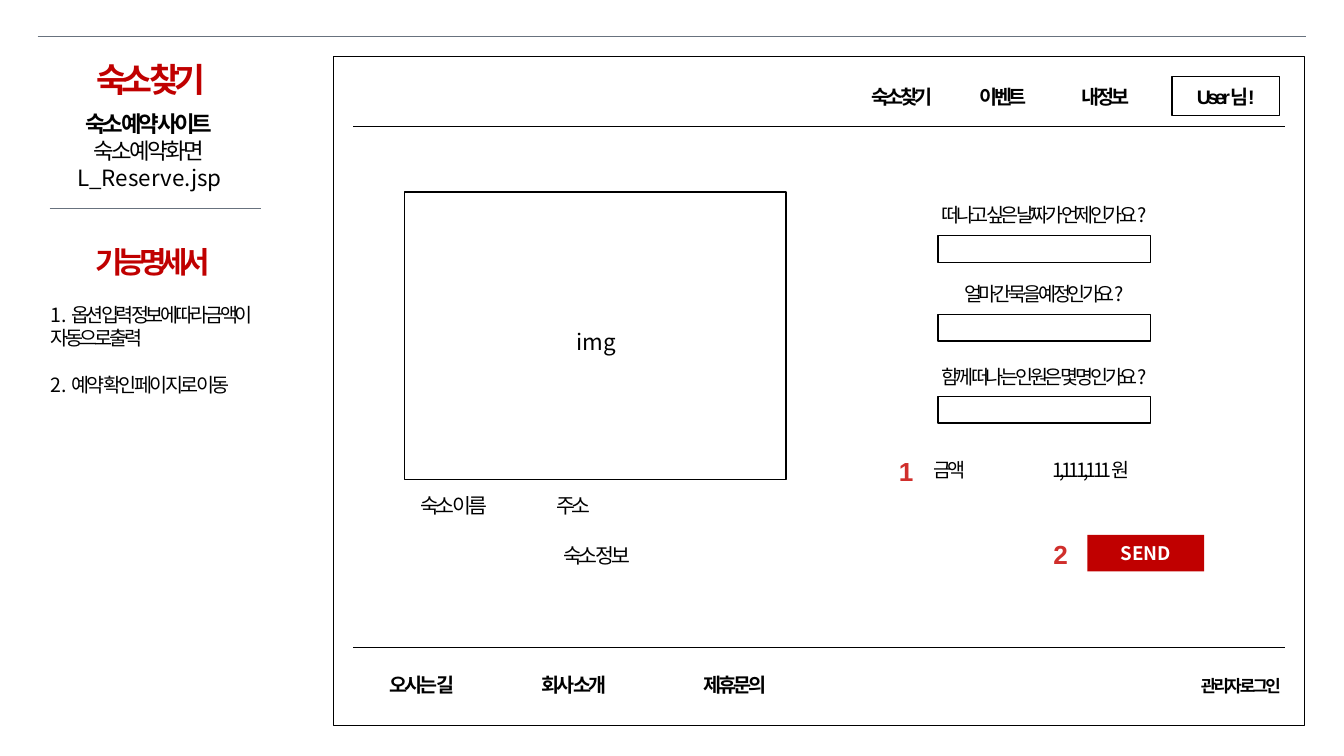
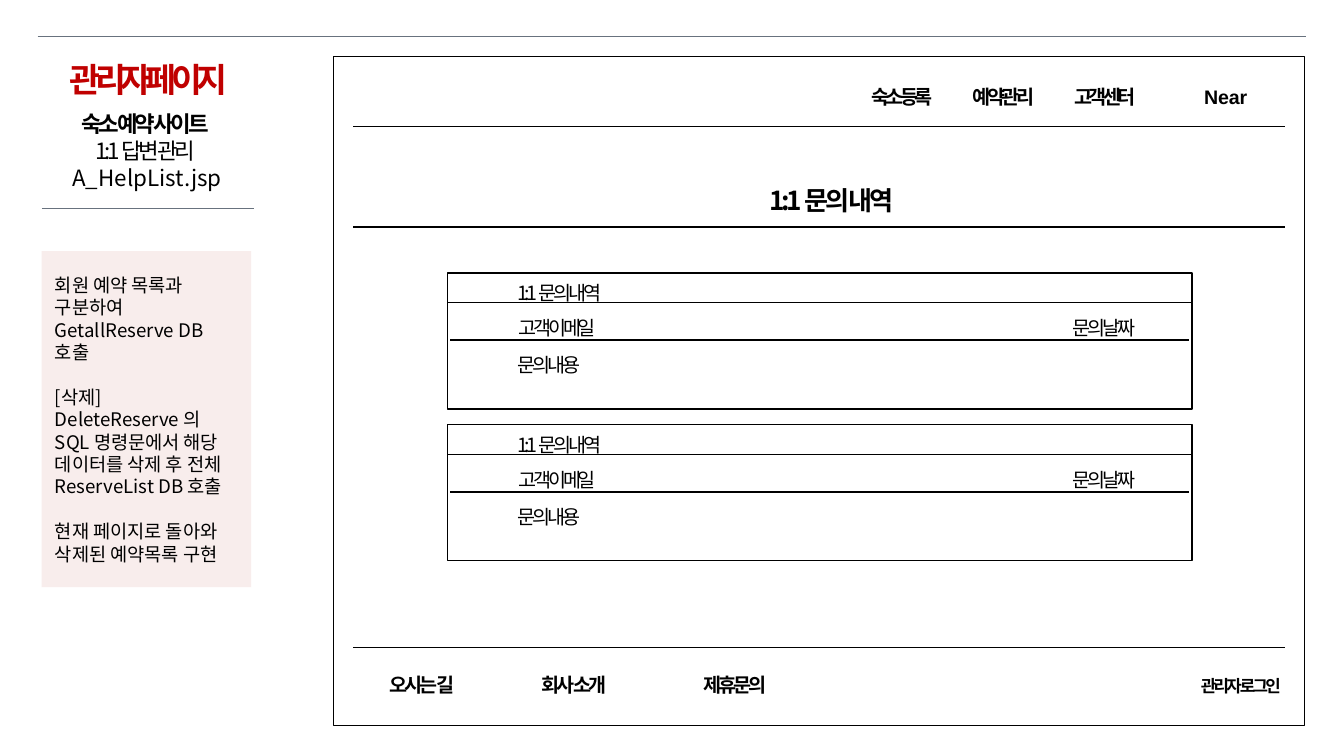
from dataclasses import dataclass

from pptx import Presentation
from pptx import util as u
from pptx.dml.color import RGBColor
from pptx.enum import shapes, text
from pptx.oxml import ns
from lxml import etree


@dataclass(frozen=True)
class Theme:
    black: str = "000000"
    white: str = "FFFFFF"
    red: str = "C00000"
    marker: str = "D02F2C"
    rule: str = "68727E"
    note: str = "F2DCDB"
    sans: str = "Noto Sans CJK KR"
    latin: str = "Arial"
    title: float = 18
    section: float = 16
    heading: float = 14
    intro: float = 12
    caption: float = 11
    body: float = 10.5
    small: float = 10
    login: float = 9
    tight: float = -1.8
    tighter: float = -1.5
    tightest: float = -3


T = Theme()
CENTER, LEFT = text.PP_ALIGN.CENTER, text.PP_ALIGN.LEFT
MIDDLE, TOP = text.MSO_ANCHOR.MIDDLE, text.MSO_ANCHOR.TOP


def add_box(slide, at, lines=(), size=T.body, color=T.black, bold=False, font=T.sans,
            spacing=0, align=CENTER, anchor=MIDDLE, line_spacing=None,
            outline=None, fill=None, grow=True, wrap=True):
    """Place a text box, or a rectangle if it has an outline or a fill."""
    place = [u.Cm(v) for v in at]
    if outline or fill:
        box = slide.shapes.add_shape(shapes.MSO_SHAPE.RECTANGLE, *place)
        box.shadow.inherit = False
        if fill:
            box.fill.solid()
            box.fill.fore_color.rgb = RGBColor.from_string(fill)
        else:
            box.fill.background()
        if outline:
            box.line.color.rgb = RGBColor.from_string(outline)
            box.line.width = u.Pt(0.75)
        else:
            box.line.fill.background()
    else:
        box = slide.shapes.add_textbox(*place)
    if not lines:
        return box
    frame = box.text_frame
    frame.word_wrap = wrap
    frame.vertical_anchor = anchor
    if grow:
        frame.auto_size = text.MSO_AUTO_SIZE.SHAPE_TO_FIT_TEXT
    for i, line in enumerate(lines):
        paragraph = frame.paragraphs[0] if i == 0 else frame.add_paragraph()
        paragraph.alignment = align
        if line_spacing:
            paragraph.line_spacing = line_spacing
        paragraph.font.size = u.Pt(size)
        paragraph.font.bold = bold
        paragraph.font.name = font
        paragraph.font.color.rgb = RGBColor.from_string(color)
        # A line is one string, or pairs of wording and letter spacing
        for words, gap in [(line, spacing)] if isinstance(line, str) else line:
            run = paragraph.add_run()
            run.text = words
            props = run._r.get_or_add_rPr()
            props.set("spc", str(round(gap * 100)))
            etree.SubElement(props, ns.qn("a:ea")).set("typeface", T.sans)
    return box


def add_rule(slide, left, right, y, color=T.black, width=0.75):
    rule = slide.shapes.add_connector(
        shapes.MSO_CONNECTOR.STRAIGHT, u.Cm(left), u.Cm(y), u.Cm(right), u.Cm(y))
    rule.line.color.rgb = RGBColor.from_string(color)
    rule.line.width = u.Pt(width)
    etree.SubElement(rule._element.spPr, ns.qn("a:effectLst"))


deck = Presentation()
deck.slide_width, deck.slide_height = u.Cm(25.4), u.Cm(14.29)

# Shared layout: side column, page frame, menu and footer
pages = [
    dict(title="숙소 찾기", title_at=(1.14, 3.43), screen="숙소 예약 화면", screen_left=0.86,
         file="L_Reserve.jsp", file_left=1.04, divider=(0.94, 4.93),
         menu=["숙소찾기", "이벤트", "내 정보"],
         user="User님!", user_outline=T.black, user_spacing=T.tight),
    dict(title="관리자페이지", title_at=(0.79, 4.04), screen="1:1 답변 관리", screen_left=0.79,
         file="A_HelpList.jsp", file_left=0.99, divider=(0.79, 4.8),
         menu=["숙소등록", "예약관리", "고객센터"],
         user="Near", user_outline=None, user_spacing=0),
]
menu_style = dict(bold=True, font=T.latin)
footer = [("오시는 길", 2.44), ("회사 소개", 2.44), ("제휴문의", 2.77)]

for page in pages:
    slide = deck.slides.add_slide(deck.slide_layouts[6])
    add_rule(slide, 0.71, 24.69, 0.69, T.rule, 0.25)

    # Side column
    left, width = page["title_at"]
    add_box(slide, (left, 1.07, width, 0.94), [page["title"]], T.title, T.red, True,
            spacing=T.tightest, anchor=TOP, line_spacing=0.9)
    intro = add_box(slide, (page["screen_left"], 1.96, 3.91, 1.27),
                    ["숙소 예약 사이트", page["screen"]], T.intro, spacing=T.tight)
    intro.text_frame.paragraphs[0].font.bold = True
    add_box(slide, (page["file_left"], 2.97, 3.58, 0.76), [page["file"]], T.intro)
    add_rule(slide, *page["divider"], 3.94, T.rule, 0.25)

    # Page frame with menu
    add_box(slide, (6.3, 1.07, 18.36, 12.65), outline=T.black)
    for i, item in enumerate(page["menu"]):
        add_box(slide, (16.03 + 1.92 * i, 1.45, 2.03, 0.74), [item],
                spacing=T.tight, **menu_style)
    add_box(slide, (22.15, 1.45, 2.03, 0.74), [page["user"]], spacing=page["user_spacing"],
            outline=page["user_outline"], **menu_style)
    for y in (2.39, 12.24):
        add_rule(slide, 6.68, 24.28, y)

    # Footer
    for i, (item, width) in enumerate(footer):
        add_box(slide, (6.76 + 2.87 * i, 12.57, width, 0.74), [item],
                spacing=T.tighter, **menu_style)
    add_box(slide, (22.23, 12.65, 2.44, 0.64), ["관리자 로그인"], T.login,
            spacing=T.tighter, **menu_style)

reserve, help_list = deck.slides

# Slide 1: feature list
add_box(reserve, (1.19, 4.55, 3.4, 0.86), ["기능명세서"], T.section, T.red, True,
        spacing=T.tightest, anchor=TOP, line_spacing=0.9)
features = add_box(reserve, (0.71, 5.6, 4.47, 2.03), [
    [("1. ", 0), ("옵션 입력 정보에 따라 금액이 자동으로 출력", T.tight)],
    [("2. ", 0), ("예약 확인 페이지로 이동", T.tighter)],
], align=LEFT, anchor=TOP)
features.text_frame.paragraphs[1].space_before = u.Pt(12.6)

# Slide 1: lodging photo and details
add_box(reserve, (7.65, 3.63, 7.21, 5.44), outline=T.black)
add_box(reserve, (10.39, 6.07, 1.75, 0.76), ["img"], T.intro)
for detail, left, top, width in [("숙소 이름", 7.24, 9.19, 2.67),
                                 ("주소", 9.5, 9.19, 2.67),
                                 ("숙소 정보", 7.87, 10.13, 6.81)]:
    add_box(reserve, (left, top, width, 0.74), [detail], T.caption, spacing=T.tight)

# Slide 1: booking form
for question, label_top, field_top in [("떠나고 싶은 날짜가 언제인가요?", 3.68, 4.45),
                                       ("얼마간 묵을 예정인가요?", 5.18, 5.94),
                                       ("함께 떠나는 인원은 몇 명인가요?", 6.76, 7.49)]:
    add_box(reserve, (16.33, label_top, 6.81, 0.74), [question], spacing=T.tight)
    add_box(reserve, (17.73, field_top, 4.01, 0.51), outline=T.black)
for price, left in [("금액", 16.61), ("1,111,111원", 19.28)]:
    add_box(reserve, (left, 8.51, 2.67, 0.74), [price], spacing=T.tight)
add_box(reserve, (20.55, 10.11, 2.21, 0.69), ["SEND"], T.small, T.white, True, fill=T.red)
for marker, left, top in [("1", 16.74, 8.48), ("2", 19.66, 10.06)]:
    add_box(reserve, (left, top, 0.81, 0.86), [marker], T.heading, T.marker, True,
            T.latin, align=LEFT, anchor=TOP, wrap=False)

# Slide 2: note on the database calls
note = add_box(help_list, (0.79, 4.75, 3.96, 6.35), [
    "회원 예약 목록과 구분하여 GetallReserve DB 호출",
    "[삭제]",
    "DeleteReserve 의 SQL 명령문에서 해당 데이터를 삭제 후 전체 ReserveList DB 호출",
    "현재 페이지로 돌아와 삭제된 예약목록 구현",
], T.small, align=LEFT, fill=T.note, grow=False)
for i in (1, 3):
    note.text_frame.paragraphs[i].space_before = u.Pt(12)
note_color = note._element.spPr.find(".//" + ns.qn("a:srgbClr"))
etree.SubElement(note_color, ns.qn("a:alpha")).set("val", "50000")

# Slide 2: heading
add_box(help_list, (13.51, 3.35, 4.42, 0.86), ["1:1 문의 내역"], T.heading, bold=True,
        spacing=T.tight)
add_rule(help_list, 6.68, 24.28, 4.29)

# Slide 2: inquiry cards
for i in range(2):
    top = 5.16 + 2.87 * i
    add_box(help_list, (8.46, top, 14.07, 0.56), outline=T.black)
    add_box(help_list, (8.46, top + 0.56, 14.07, 2.01), outline=T.black)
    add_rule(help_list, 8.51, 22.48, top + 1.27)
    for field, left, drop, width in [("1:1 문의 내역", 8.36, 0, 4.42),
                                     ("고객 이메일", 9.17, 0.66, 2.72),
                                     ("문의 날짜", 19.51, 0.66, 2.72),
                                     ("문의 내용", 9.02, 1.37, 2.72)]:
        add_box(help_list, (left, top + drop, width, 0.74), [field], spacing=T.tight)

deck.save("out.pptx")
